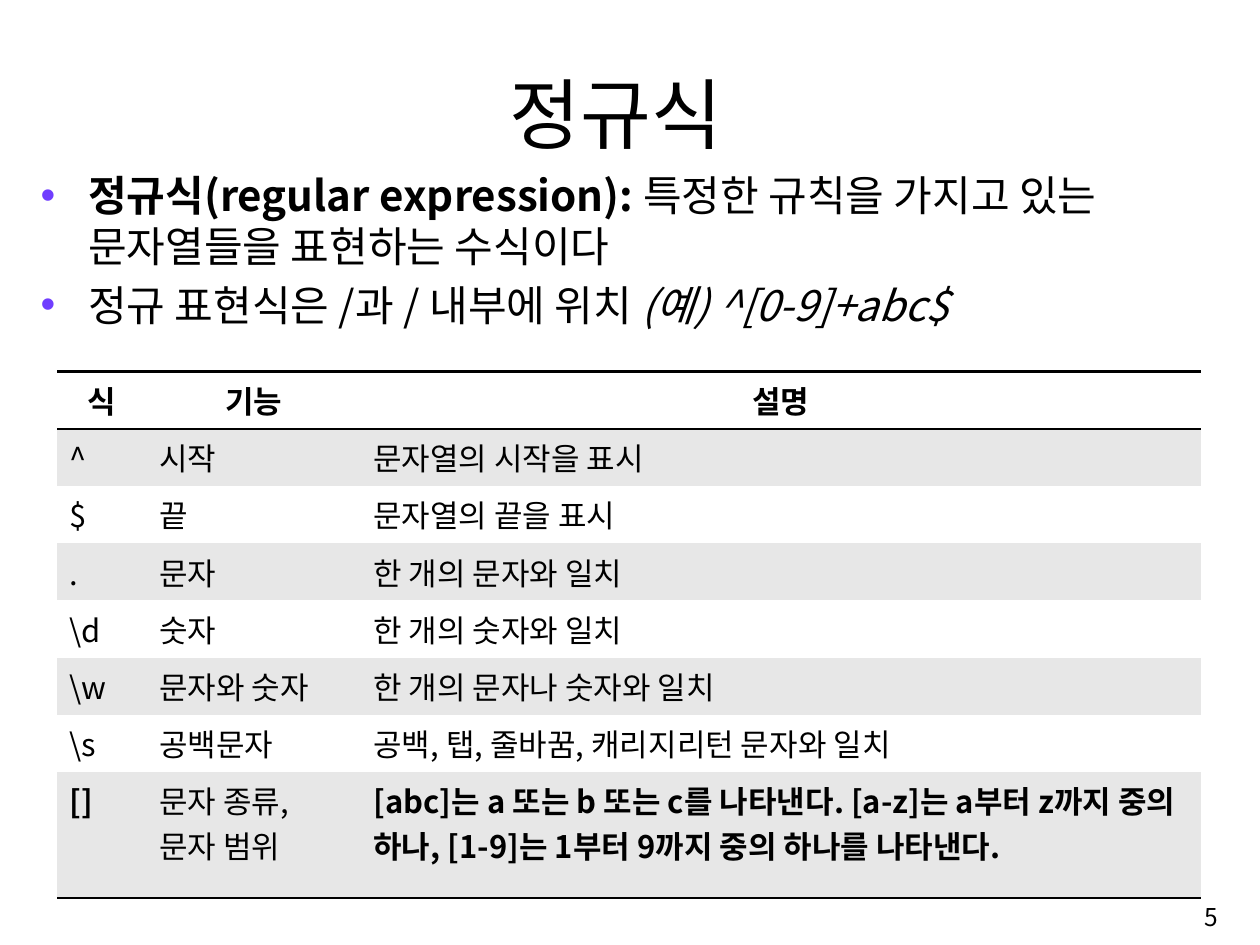
"""Build a slide that explains regular expressions with a table of symbols."""
import pptx
import pptx.dml.color
import pptx.enum.text
import pptx.oxml.ns
import pptx.util
from lxml import etree

Inches = pptx.util.Inches
Align = pptx.enum.text.PP_ALIGN
Anchor = pptx.enum.text.MSO_ANCHOR
qn = pptx.oxml.ns.qn

FONT = "Noto Sans CJK KR"
BLACK, WHITE, BAND, BULLET = "000000", "FFFFFF", "E7E7E7", "703DFF"
NO_STYLE = "{2D5ABB26-0587-4C30-8999-92F81FD0307C}"
COLUMN_WIDTHS = [0.92, 2.21, 8.66]
ROW_HEIGHTS = [0.59] * 7 + [1.3]
ROWS = [
    ("식", "기능", "설명"),
    ("^", "시작", "문자열의 시작을 표시"),
    ("$", "끝", "문자열의 끝을 표시"),
    (".", "문자", "한 개의 문자와 일치"),
    ("\\d", "숫자", "한 개의 숫자와 일치"),
    ("\\w", "문자와 숫자", "한 개의 문자나 숫자와 일치"),
    ("\\s", "공백문자", "공백, 탭, 줄바꿈, 캐리지리턴 문자와 일치"),
    ("[]", "문자 종류, 문자 범위",
     "[abc]는 a 또는 b 또는 c를 나타낸다. [a-z]는 a부터 z까지 중의 하나, "
     "[1-9]는 1부터 9까지 중의 하나를 나타낸다."),
]


def color(value):
    """Return the colour for a hex string."""
    return pptx.dml.color.RGBColor.from_string(value)


def style_paragraph(paragraph, size, align=Align.LEFT, bold=None):
    """Set the font and alignment of a paragraph."""
    paragraph.alignment = align
    font = paragraph.font
    font.name, font.size, font.bold = FONT, pptx.util.Pt(size), bold
    font.color.rgb = color(BLACK)
    etree.SubElement(font._element, qn("a:ea"), typeface=FONT)


def add_text_box(slide, left, top, width, height, anchor):
    """Add a wrapping text box and return its text frame."""
    shape = slide.shapes.add_textbox(*map(Inches, (left, top, width, height)))
    frame = shape.text_frame
    frame.word_wrap = True
    frame.vertical_anchor = anchor
    return frame


def add_label(slide, box, text, size, align, anchor):
    """Add a one-line text."""
    paragraph = add_text_box(slide, *box, anchor).paragraphs[0]
    paragraph.text = text
    style_paragraph(paragraph, size, align)


def add_bullet(paragraph, runs):
    """Fill a bulleted paragraph with (text, bold, italic) runs."""
    for text, bold, italic in runs:
        run = paragraph.add_run()
        run.text = text
        run.font.bold, run.font.italic = bold, italic
    paragraph.space_before = pptx.util.Pt(6.24)
    properties = paragraph._p.get_or_add_pPr()
    properties.set("marL", str(Inches(0.49)))
    properties.set("indent", str(-Inches(0.49)))
    bullet_color = etree.SubElement(properties, qn("a:buClr"))
    etree.SubElement(bullet_color, qn("a:srgbClr"), val=BULLET)
    etree.SubElement(properties, qn("a:buFont"), typeface="Arial")
    etree.SubElement(properties, qn("a:buChar"), char="•")
    style_paragraph(paragraph, 31.2)


def add_border(cell, side):
    """Draw a black line on one side (lnT or lnB) of a cell."""
    properties = cell._tc.get_or_add_tcPr()
    line = etree.Element(qn("a:" + side), w=str(pptx.util.Pt(2)))
    fill = etree.SubElement(line, qn("a:solidFill"))
    etree.SubElement(fill, qn("a:srgbClr"), val=BLACK)
    properties.insert(len(properties.findall(qn("a:lnT"))), line)


def fill_cell(cell, text, background, align, bold):
    """Write and colour one table cell."""
    cell.margin_left = cell.margin_right = Inches(0.13)
    cell.margin_top = cell.margin_bottom = Inches(0.06)
    cell.fill.solid()
    cell.fill.fore_color.rgb = color(background)
    cell.text = text
    style_paragraph(cell.text_frame.paragraphs[0], 23, align, bold)


def add_symbol_table(slide):
    """Add the banded table of symbols."""
    table = slide.shapes.add_table(
        len(ROWS), len(COLUMN_WIDTHS), Inches(0.59), Inches(3.83),
        Inches(sum(COLUMN_WIDTHS)), Inches(sum(ROW_HEIGHTS))).table
    table._tbl.tblPr.find(qn("a:tableStyleId")).text = NO_STYLE
    for column, width in zip(table.columns, COLUMN_WIDTHS):
        column.width = Inches(width)
    last = len(ROWS) - 1
    for r, (texts, height) in enumerate(zip(ROWS, ROW_HEIGHTS)):
        table.rows[r].height = Inches(height)
        for c, text in enumerate(texts):
            cell = table.cell(r, c)
            bold = r == 0 or (r == last and c != 1)
            align = Align.CENTER if r == 0 else Align.LEFT
            fill_cell(cell, text, BAND if r % 2 else WHITE, align, bold)
            if r == 0:
                add_border(cell, "lnT")
            if r in (0, last):
                add_border(cell, "lnB")


def main():
    """Build and save the slide."""
    presentation = pptx.Presentation()
    presentation.slide_width, presentation.slide_height = Inches(12.99), Inches(9.74)
    slide = presentation.slides.add_slide(presentation.slide_layouts[6])
    add_label(slide, (1.05, 0.61, 10.61, 1.08), "정규식", 57.2, Align.CENTER, Anchor.BOTTOM)
    body = add_text_box(slide, 0.32, 1.7, 12.32, 7.06, Anchor.TOP)
    add_bullet(body.paragraphs[0], [
        ("정규식(regular expression): ", True, None),
        ("특정한 규칙을 가지고 있는 문자열들을 표현하는 수식이다", None, None)])
    add_bullet(body.add_paragraph(), [
        ("정규 표현식은 /과 / 내부에 위치 ", None, None),
        ("(예) ^[0-9]+abc$", None, True)])
    add_symbol_table(slide)
    add_label(slide, (9.98, 9.15, 2.68, 0.6), "5", 18.2, Align.RIGHT, Anchor.MIDDLE)
    presentation.save("out.pptx")


if __name__ == "__main__":
    main()
